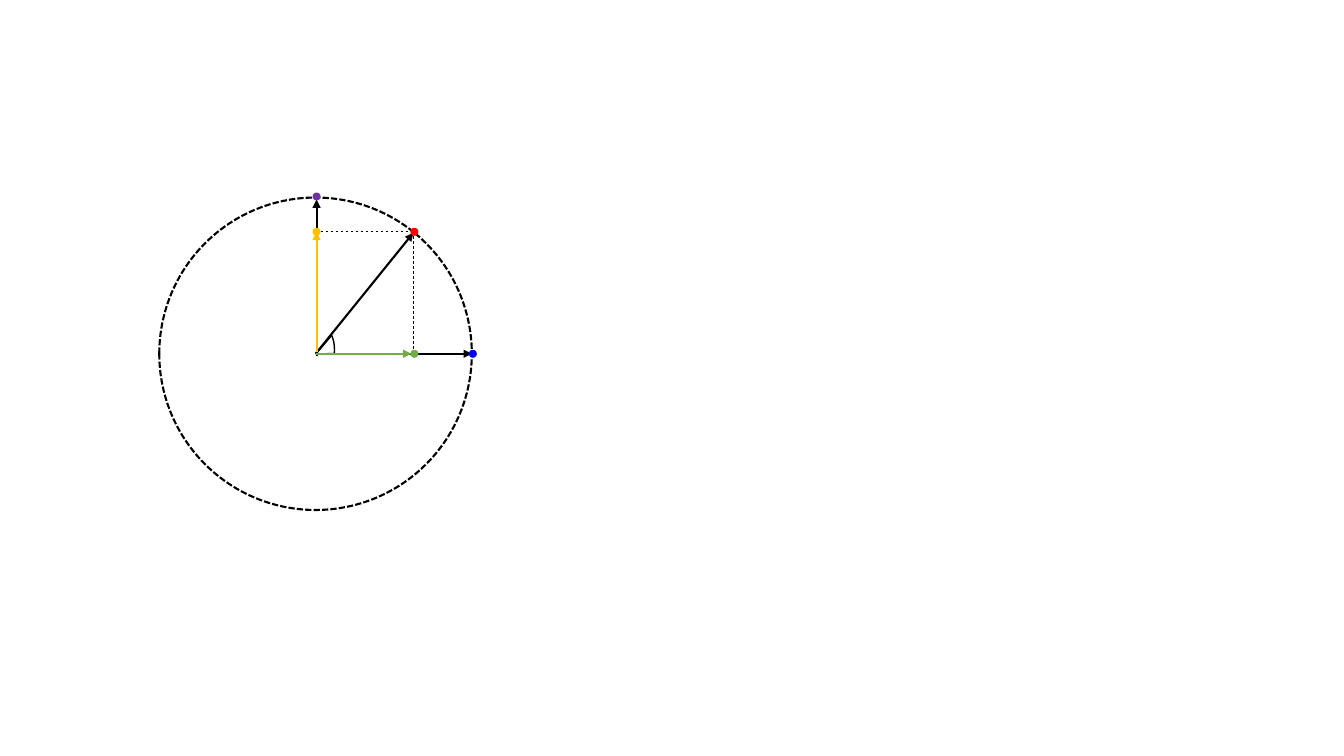
import pptx
import pptx.util
import pptx.dml.color
import pptx.enum.dml
import pptx.enum.shapes
import pptx.oxml.ns
from lxml import etree

Inches = pptx.util.Inches
RGBColor = pptx.dml.color.RGBColor
MSO_SHAPE = pptx.enum.shapes.MSO_SHAPE
DASH = pptx.enum.dml.MSO_LINE.DASH
SYS_DASH = pptx.enum.dml.MSO_LINE.SQUARE_DOT
qn = pptx.oxml.ns.qn

BLACK = RGBColor(0x00, 0x00, 0x00)
BLUE = RGBColor(0x00, 0x00, 0xFF)
RED = RGBColor(0xFF, 0x00, 0x00)
GREEN = RGBColor(0x70, 0xAD, 0x47)
GOLD = RGBColor(0xFF, 0xC0, 0x00)
PURPLE = RGBColor(0x70, 0x30, 0xA0)

# Key coordinates of the unit circle
CX, CY, RADIUS = 3.13, 3.51, 1.55
PX, PY = 4.1, 2.3
AXIS_X = 3.14
DOT = 0.08

prs = pptx.Presentation()
prs.slide_width, prs.slide_height = Inches(13.33), Inches(7.5)
s = prs.slides.add_slide(prs.slide_layouts[6])
diagram = s.shapes.add_group_shape().shapes


def add_line(x1, y1, x2, y2, color=BLACK, dashed=False):
    """Dashed guide line, or solid arrow."""
    c = diagram.add_connector(pptx.enum.shapes.MSO_CONNECTOR.STRAIGHT,
                              Inches(x1), Inches(y1), Inches(x2), Inches(y2))
    c.line.color.rgb = color
    c.line.width = pptx.util.Pt(0.5 if dashed else 1.5)
    if dashed:
        c.line.dash_style = DASH
    else:
        ln = c.line._get_or_add_ln()
        etree.SubElement(ln, qn("a:tailEnd"), type="triangle")
    etree.SubElement(c._element.spPr, qn("a:effectLst"))


def add_round(shape, x, y, w, h, fill=None, width=None):
    """Filled dot, or outlined round shape."""
    sp = diagram.add_shape(shape, Inches(x), Inches(y), Inches(w), Inches(h))
    sp.shadow.inherit = False
    if fill is None:
        sp.fill.background()
        sp.line.color.rgb = BLACK
        sp.line.width = pptx.util.Pt(width)
    else:
        sp.fill.solid()
        sp.fill.fore_color.rgb = fill
        sp.line.fill.background()
    return sp


# Vertical axis and projection guides
add_line(AXIS_X, 3.53, AXIS_X, 1.98)
add_line(CX, PY, 4.07, PY, dashed=True)
add_line(PX, 2.34, PX, CY, dashed=True)

# Circle
circle = add_round(MSO_SHAPE.OVAL, CX - RADIUS, CY - RADIUS,
                   2 * RADIUS, 2 * RADIUS, width=1.5)
circle.line.dash_style = SYS_DASH

# Radius vector and horizontal axis
add_line(CX, CY, PX, 2.31)
add_line(CX, CY, CX + RADIUS, CY)

# Angle mark
angle = add_round(MSO_SHAPE.PIE, 2.84, 3.33, 0.59, 0.36, width=1)
angle.rotation = 97
angle.adjustments[0] = 127.856
angle.adjustments[1] = 157.458

# Points
for x, y, color in [(4.65, 3.47, BLUE), (4.07, 2.26, RED),
                    (4.07, 3.47, GREEN), (3.1, 2.26, GOLD)]:
    add_round(MSO_SHAPE.OVAL, x, y, DOT, DOT, color)

# Sine and cosine components
add_line(AXIS_X, 3.49, AXIS_X, PY, GOLD)
add_line(CX, CY, 4.08, CY, GREEN)

# Top of the circle
add_round(MSO_SHAPE.OVAL, 3.1, 1.91, DOT, DOT, PURPLE)

prs.save("out.pptx")
